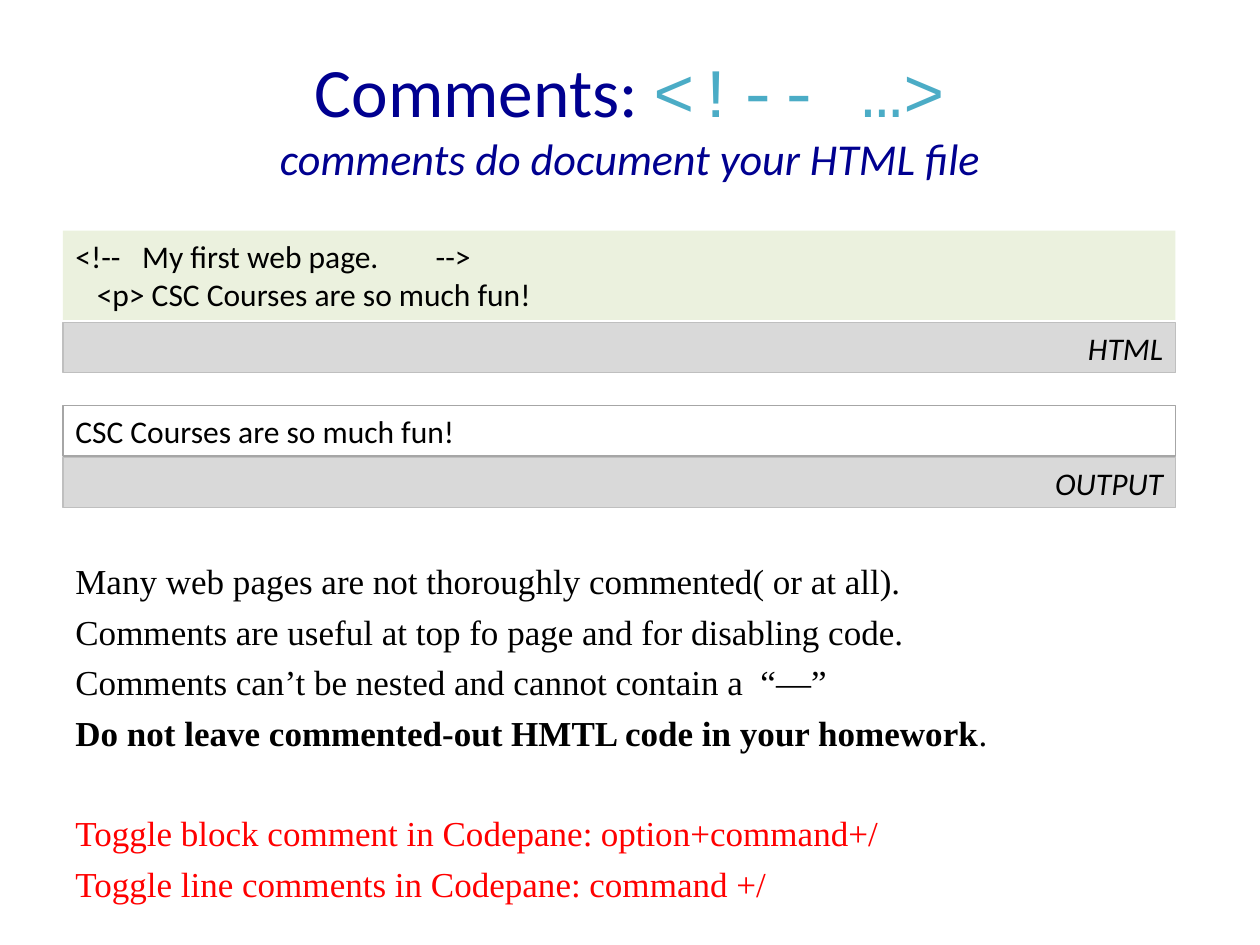
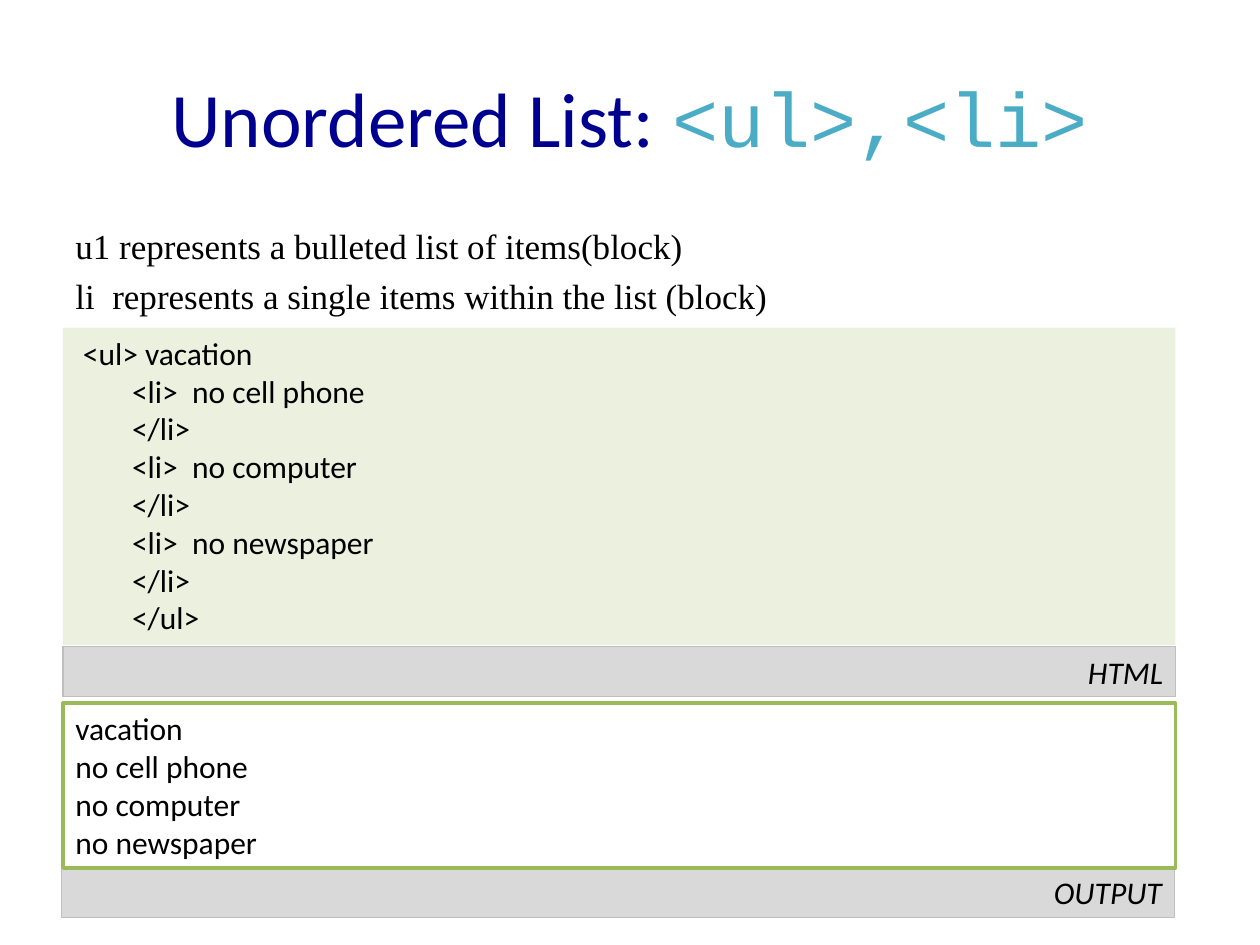
from pptx import Presentation
from pptx.dml.color import RGBColor
from pptx.enum.shapes import MSO_SHAPE as Shape
from pptx.enum.text import MSO_ANCHOR as Anchor, PP_ALIGN as Align
from pptx.oxml.ns import qn
from pptx.util import Inches, Pt
from lxml import etree

COLOURS = {
    "white": "FFFFFF", "black": "000000", "navy": "000090", "teal": "4BACC6",
    "red": "FF0000", "code": "EBF1DE", "bar": "D9D9D9", "bar_line": "BFBFBF",
    "grey": "A6A6A6", "green": "9BBB59",
}
SANS, SERIF, MONO = "Calibri", "Times New Roman", "Courier New"
COLUMNS, ROWS = 20, 30
LEFT, PANEL_WIDTH, TEXT_WIDTH = 1, 17.66, 18
BAR_HEIGHT = 1.6


def colour(name):
    return RGBColor.from_string(COLOURS[name])


class SlideWriter:
    """Keeps the shared style and draws on the current slide."""

    def __init__(self):
        self.deck = Presentation()
        self.deck.slide_width, self.deck.slide_height = Inches(10), Inches(7.5)
        self.page = None

    def new_page(self):
        self.page = self.deck.slides.add_slide(self.deck.slide_layouts[6])

    def place(self, left, top, width, height):
        column = self.deck.slide_width / COLUMNS
        row = self.deck.slide_height / ROWS
        return [round(n) for n in (left * column, top * row, width * column, height * row)]

    def style(self, para, font, size, tint="black", bold=False, italic=False):
        for span in para.runs:
            span.font.name, span.font.size = font, Pt(size)
            span.font.bold, span.font.italic = bold, italic
            span.font.color.rgb = colour(tint)

    def tab_stops(self, para, stops):
        tabs = etree.SubElement(para._p.get_or_add_pPr(), qn("a:tabLst"))
        for stop in stops:
            etree.SubElement(tabs, qn("a:tab"), pos=str(Inches(stop)), algn="l")

    def paragraphs(self, frame, lines):
        """Fill the frame with lines and yield each new paragraph."""
        frame.word_wrap = True
        for index, line in enumerate(lines):
            para = frame.add_paragraph() if index else frame.paragraphs[0]
            para.text = line
            yield para

    def text_box(self, top, height):
        box = self.page.shapes.add_textbox(*self.place(LEFT, top, TEXT_WIDTH, height))
        return box.text_frame

    def title(self, words, tag, size, subtitle=None):
        frame = self.text_box(1.2, 5)
        frame.vertical_anchor = Anchor.MIDDLE
        lines = [words, subtitle] if subtitle else [words]
        for para in self.paragraphs(frame, lines):
            para.alignment = Align.CENTER
            if para.text == subtitle:
                self.style(para, SANS, 25.2, "navy", italic=True)
                continue
            self.style(para, SANS, size, "navy")
            span = para.add_run()
            span.text = tag
            span.font.name, span.font.size = MONO, Pt(size)
            span.font.color.rgb = colour("teal")

    def body(self, top, height, lines):
        """Each line is its text and a dict with tint, gap above and tab stops."""
        texts = [text for text, _ in lines]
        for para, (_, look) in zip(self.paragraphs(self.text_box(top, height), texts), lines):
            para.space_before = Pt(look.get("gap", 5))
            self.style(para, SERIF, 20, look.get("tint", "black"))
            self.tab_stops(para, look.get("tabs", []))
            if "bold_end" in look:
                para.runs[0].font.bold = True
                span = para.add_run()
                span.text = look["bold_end"]
                span.font.name, span.font.size = SERIF, Pt(20)
                span.font.color.rgb = colour("black")

    def panel(self, top, height, lines, fill="white", line=None, weight=0.75,
              indents=(), tabs=(), label=False, left=LEFT):
        box = self.page.shapes.add_shape(
            Shape.RECTANGLE, *self.place(left, top, PANEL_WIDTH, height))
        box.shadow.inherit = False
        box.fill.solid()
        box.fill.fore_color.rgb = colour(fill)
        if line:
            box.line.color.rgb = colour(line)
            box.line.width = Pt(weight)
        else:
            box.line.fill.background()
        box.text_frame.vertical_anchor = Anchor.TOP
        for index, para in enumerate(self.paragraphs(box.text_frame, lines)):
            para.alignment = Align.RIGHT if label else Align.LEFT
            self.style(para, SANS, 18, italic=label)
            if indents:
                indent = indents[min(index, len(indents) - 1)]
                para._p.get_or_add_pPr().set("marL", str(Inches(indent)))
            if tabs and "\t" in para.text:
                self.tab_stops(para, tabs)

    def code(self, top, height, lines, **layout):
        self.panel(top, height, lines, fill="code", **layout)

    def bar(self, top, label, left=LEFT):
        self.panel(top, BAR_HEIGHT, [label], "bar", "bar_line", label=True, left=left)


def comments_page(writer):
    writer.new_page()
    writer.title("Comments: ", "<!-- …>", 39.6, "comments do document your HTML file")
    # Source and its result
    writer.code(7.32, 2.84, ["<!--\tMy first web page.\t-->",
                             "<p> CSC Courses are so much fun!"],
                indents=(0, 0.17), tabs=(0.53, 2.86))
    writer.bar(10.24, "HTML")
    # Advice
    toggle = {"tint": "red"}
    writer.body(17.56, 6.56, [
        ("Many web pages are not thoroughly commented( or at all).", {}),
        ("Comments are useful at top fo page and for disabling code.", {}),
        ("Comments can’t be nested and cannot contain a  “—”", {}),
        ("Do not leave commented-out HMTL code in your homework", {"bold_end": "."}),
        ("Toggle block comment in Codepane:\toption+command+/",
         {**toggle, "gap": 33, "tabs": [4.17]}),
        ("Toggle line comments in Codepane:\tcommand +/", {**toggle, "tabs": [4.08]}),
    ])
    writer.panel(12.88, BAR_HEIGHT, ["CSC Courses are so much fun!"], line="grey")
    writer.bar(14.52, "OUTPUT")


def list_page(writer):
    writer.new_page()
    writer.title("Unordered List: ", "<ul>,<li>", 44)
    writer.body(6.92, 4.16, [
        ("u1 represents a bulleted list of items(block)", {}),
        ("li  represents a single items within the list (block)", {}),
    ])
    # Source and its result
    items = ["no cell phone", "no computer", "no newspaper"]
    tags = [line for item in items for line in (f"<li>  {item}", "</li>")]
    writer.code(10.4, 10.08, ["<ul> vacation", *tags, "</ul>"], indents=(0.06, 0.45))
    writer.bar(20.52, "HTML")
    writer.bar(27.52, "OUTPUT", left=0.98)
    writer.panel(22.32, 5.24, ["vacation", *items], line="green", weight=2)


def main():
    writer = SlideWriter()
    comments_page(writer)
    list_page(writer)
    writer.deck.save("out.pptx")


if __name__ == "__main__":
    main()
